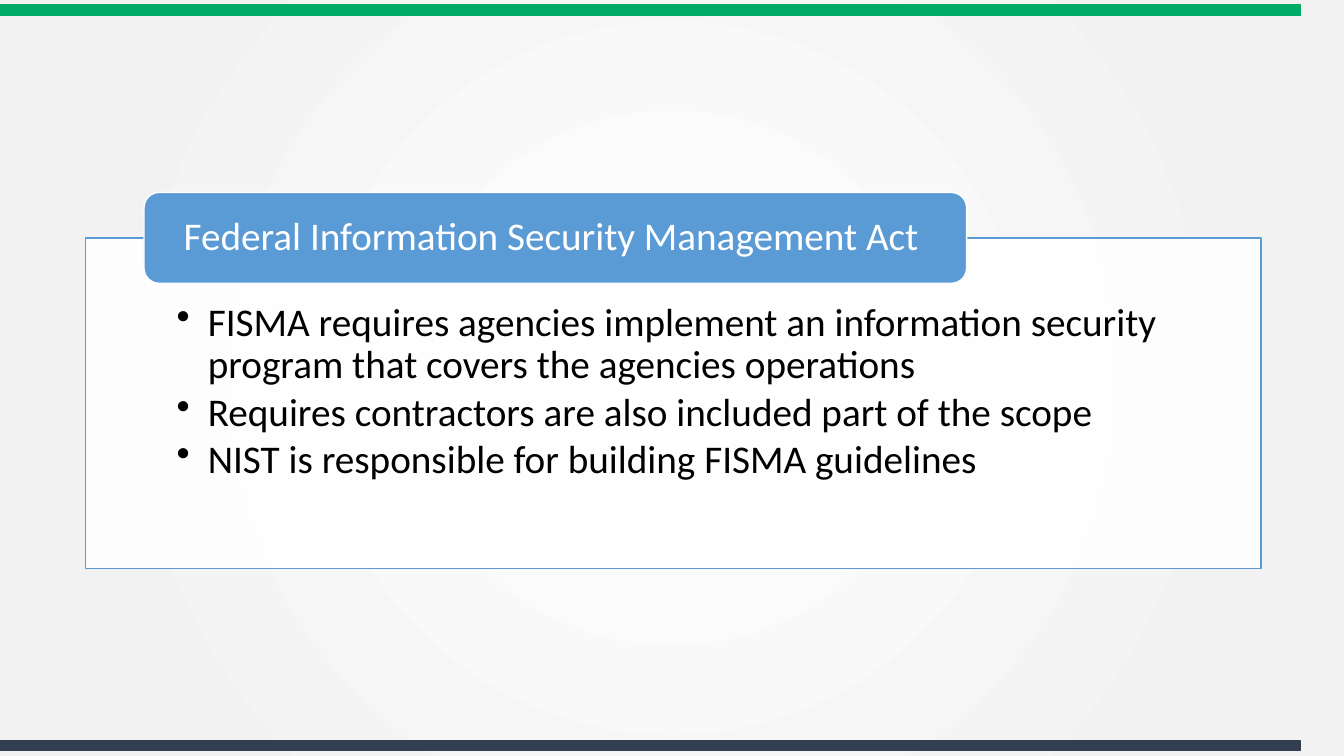
"""Build the slide on the Federal Information Security Management Act."""
from dataclasses import dataclass

import pptx
import pptx.dml.color
import pptx.enum.shapes
import pptx.enum.text
import pptx.oxml
import pptx.oxml.ns
import pptx.shapes.autoshape
import pptx.slide
import pptx.util

Cm = pptx.util.Cm
Pt = pptx.util.Pt
RGBColor = pptx.dml.color.RGBColor
SHAPE = pptx.enum.shapes.MSO_SHAPE
ANCHOR = pptx.enum.text.MSO_ANCHOR
qn = pptx.oxml.ns.qn

GREEN = RGBColor(0x00, 0xAC, 0x65)
NAVY = RGBColor(0x33, 0x3F, 0x50)
BLUE = RGBColor(0x5B, 0x9B, 0xD5)
WHITE = RGBColor(0xFF, 0xFF, 0xFF)
GREY = RGBColor(0xF2, 0xF2, 0xF2)
BLACK = RGBColor(0x00, 0x00, 0x00)

TITLE = "Federal Information Security Management Act"
POINTS = [
    "FISMA requires agencies implement an information security program "
    "that covers the agencies operations",
    "Requires contractors are also included part of the scope",
    "NIST is responsible for building FISMA guidelines",
]


@dataclass
class Box:
    """A filled, outlined shape; lengths in centimetres."""
    left: float
    top: float
    width: float
    height: float
    fill: RGBColor
    line: RGBColor
    kind: SHAPE = SHAPE.RECTANGLE


TOP_BAR = Box(0, 0.13, 32.77, 0.25, GREEN, GREEN)
BOTTOM_BAR = Box(0, 18.67, 32.77, 0.25, NAVY, NAVY)
PANEL = Box(2.16, 6, 29.62, 8.33, WHITE, BLUE)
TAB = Box(3.63, 4.85, 20.73, 2.29, BLUE, WHITE, SHAPE.ROUNDED_RECTANGLE)


def set_background(s: pptx.slide.Slide) -> None:
    """Fill the background with a circular gradient, white in the centre."""
    s.background.fill.solid()
    bg = s.element.find(".//" + qn("p:bgPr"))
    stops = "".join(
        f'<a:gs pos="{pos}"><a:srgbClr val="{color}"/></a:gs>'
        for pos, color in ((0, WHITE), (81000, GREY), (100000, GREY)))
    bg.replace(bg[0], pptx.oxml.parse_xml(
        f'<a:gradFill {pptx.oxml.ns.nsdecls("a")} rotWithShape="1">'
        f'<a:gsLst>{stops}</a:gsLst><a:path path="circle">'
        '<a:fillToRect l="50000" t="50000" r="50000" b="50000"/>'
        '</a:path></a:gradFill>'))


def add_box(s: pptx.slide.Slide, box: Box) -> pptx.shapes.autoshape.Shape:
    """Draw a box and return its shape."""
    sp = s.shapes.add_shape(box.kind, Cm(box.left), Cm(box.top),
                            Cm(box.width), Cm(box.height))
    sp.shadow.inherit = False
    sp.fill.solid()
    sp.fill.fore_color.rgb = box.fill
    sp.line.color.rgb = box.line
    sp.line.width = Pt(1)
    return sp


def set_opacity(sp: pptx.shapes.autoshape.Shape, percent: int) -> None:
    """Make the solid fill of a shape partly transparent."""
    color = sp.element.spPr.find(qn("a:solidFill"))[0]
    alpha = color.makeelement(qn("a:alpha"), {"val": str(percent * 1000)})
    color.append(alpha)


def write(sp: pptx.shapes.autoshape.Shape, lines: list[str], color: RGBColor,
          anchor: ANCHOR, side: float, top: float = 0, bottom: float = 0,
          bulleted: bool = False) -> None:
    """Write left-aligned paragraphs into a shape; margins in centimetres."""
    tf = sp.text_frame
    tf.word_wrap = True
    tf.vertical_anchor = anchor
    tf.margin_left = tf.margin_right = Cm(side)
    tf.margin_top, tf.margin_bottom = Cm(top), Cm(bottom)
    tf.text = "\n".join(lines)
    for p in tf.paragraphs:
        p.alignment = pptx.enum.text.PP_ALIGN.LEFT
        p.line_spacing = 0.9
        p.font.name = "Calibri"
        p.font.size = Pt(28)
        p.font.color.rgb = color
        if bulleted:
            p.level = 1
            p.space_after = Pt(3.5)
            add_bullet(p)


def add_bullet(p) -> None:
    """Give a paragraph a round bullet with a hanging indent."""
    pPr = p._p.get_or_add_pPr()
    indent = Cm(0.79)
    pPr.set("marL", str(indent))
    pPr.set("indent", str(-indent))
    bullet = pPr.makeelement(qn("a:buChar"), {"char": "•"})
    pPr.find(qn("a:defRPr")).addprevious(bullet)


prs = pptx.Presentation()
prs.slide_width, prs.slide_height = Cm(33.87), Cm(19.05)
s = prs.slides.add_slide(prs.slide_layouts[6])
set_background(s)
for bar in (TOP_BAR, BOTTOM_BAR):
    add_box(s, bar)

panel = add_box(s, PANEL)
set_opacity(panel, 90)
write(panel, POINTS, BLACK, ANCHOR.TOP, side=2.29, top=1.63, bottom=0.56,
      bulleted=True)

tab = add_box(s, TAB)
write(tab, [TITLE], WHITE, ANCHOR.MIDDLE, side=0.89)

prs.save("out.pptx")
